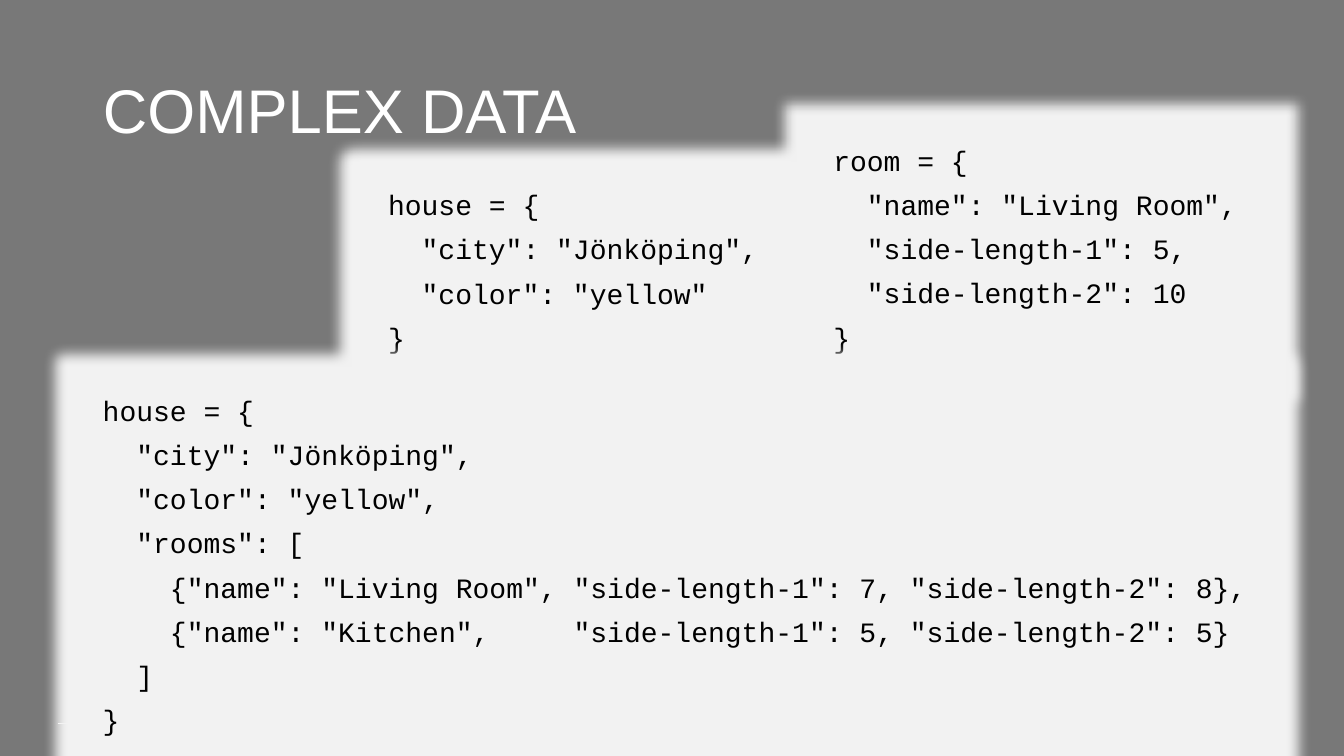
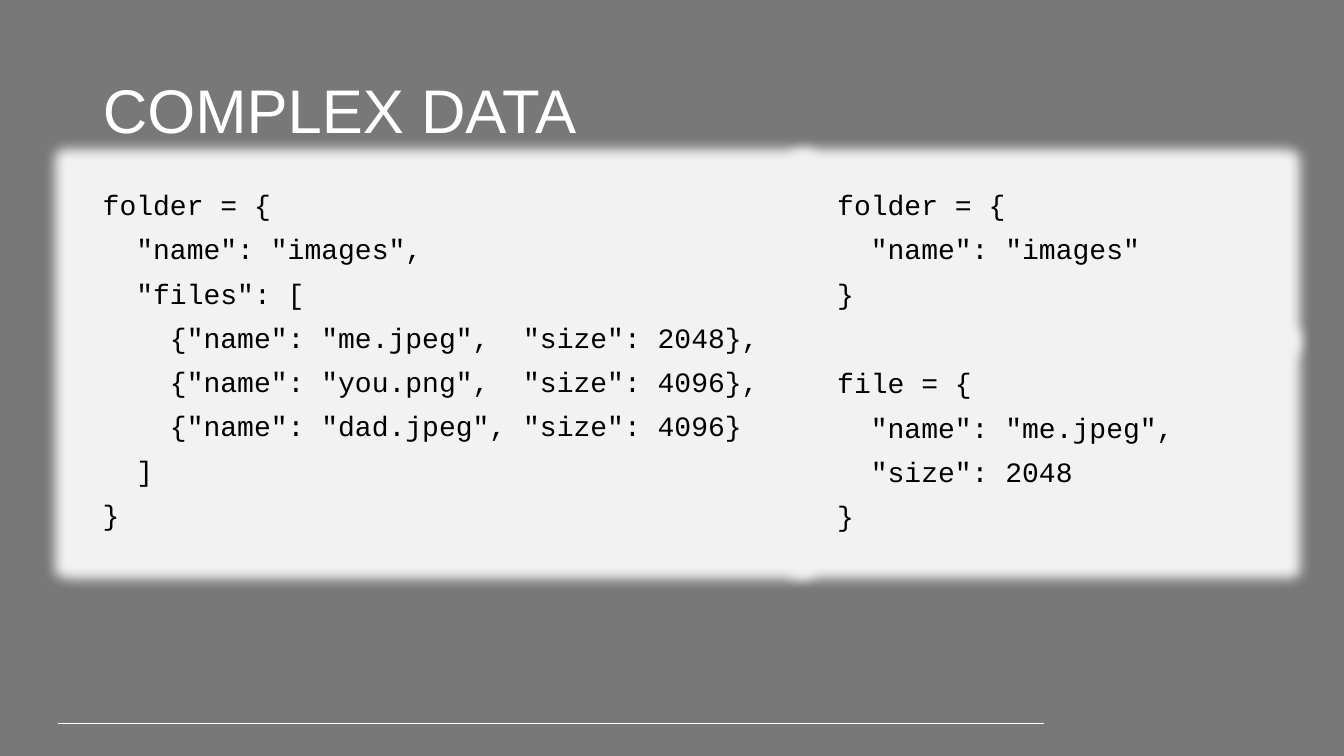
from dataclasses import dataclass

import lxml.etree
import pptx
import pptx.dml.color
import pptx.enum.shapes
import pptx.enum.text
import pptx.oxml.ns
import pptx.util

Cm, Pt = pptx.util.Cm, pptx.util.Pt
COLORS = {"back": "787878", "white": "FFFFFF", "panel": "F2F2F2", "code": "000000"}
TITLE = "COMPLEX DATA"
LEFT, TOP = 2.34, 4.7
GLOW = Pt(18)


@dataclass
class Panel:
    """A block of code; left, top and width in centimetres."""
    left: float
    top: float
    width: float
    code: str

    @property
    def height(self) -> float:
        return 1.12 * len(self.code.splitlines()) - 0.05


ROOM = '''room = {
  "name": "Living Room",
  "side-length-1": 5,
  "side-length-2": 10
}'''
HOUSE = '''house = {
  "city": "Jönköping",
  "color": "yellow"
}'''
ROOMS = '''house = {
  "city": "Jönköping",
  "color": "yellow",
  "rooms": [
    {"name": "Living Room", "side-length-1": 7, "side-length-2": 8},
    {"name": "Kitchen",     "side-length-1": 5, "side-length-2": 5}
  ]
}'''
FILE = '''file = {
  "name": "me.jpeg",
  "size": 2048
}'''
FOLDER = '''folder = {
  "name": "images"
}'''
FILES = '''folder = {
  "name": "images",
  "files": [
    {"name": "me.jpeg",  "size": 2048},
    {"name": "you.png",  "size": 4096},
    {"name": "dad.jpeg", "size": 4096}
  ]
}'''

SLIDES = [
    [Panel(20.75, 3.58, 10.97, ROOM),
     Panel(9.53, TOP, 9.93, HOUSE),
     Panel(LEFT, 9.88, 29.41, ROOMS)],
    [Panel(20.85, 9.19, 10.97, FILE),
     Panel(20.85, TOP, 10.97, FOLDER),
     Panel(LEFT, TOP, 17.25, FILES)],
]


def color(name: str) -> pptx.dml.color.RGBColor:
    return pptx.dml.color.RGBColor.from_string(COLORS[name])


def add_node(parent, tag: str, **attrs: str):
    return lxml.etree.SubElement(parent, pptx.oxml.ns.qn(tag), attrs)


def style(para, font: str, size: int, tint: str) -> None:
    para.alignment = pptx.enum.text.PP_ALIGN.LEFT
    para.line_spacing = 0.9
    para.font.name = font
    para.font.size = Pt(size)
    para.font.color.rgb = color(tint)


def set_master(deck, layout) -> None:
    """Give every slide the grey ground and the title its place."""
    fill = deck.slide_master.background.fill
    fill.solid()
    fill.fore_color.rgb = color("back")
    title = layout.placeholders[0]
    title.left, title.top = Cm(LEFT), Cm(1.02)
    title.width, title.height = Cm(29.21), Cm(3.68)
    title.text_frame.vertical_anchor = pptx.enum.text.MSO_ANCHOR.MIDDLE


def add_rule(slide, layout) -> None:
    """Draw the foot line and move it to the layout, for all slides."""
    line = slide.shapes.add_connector(
        pptx.enum.shapes.MSO_CONNECTOR.STRAIGHT,
        Cm(1.45), Cm(18.24), Cm(26.31), Cm(18.24))
    line.line.color.rgb = color("white")
    line.line.width = Pt(0.75)
    add_node(line.element.spPr, "a:effectLst")
    layout.shapes.element.append(line.element)


def add_title(slide) -> None:
    frame = slide.shapes.title.text_frame
    frame.text = TITLE
    style(frame.paragraphs[0], "Arial", 44, "white")


def add_panel(slide, panel: Panel) -> None:
    box = slide.shapes.add_shape(
        pptx.enum.shapes.MSO_SHAPE.RECTANGLE,
        Cm(panel.left), Cm(panel.top), Cm(panel.width), Cm(panel.height))
    box.fill.solid()
    box.fill.fore_color.rgb = color("panel")
    box.line.fill.background()
    box.shadow.inherit = False
    effects = box.element.spPr.find(pptx.oxml.ns.qn("a:effectLst"))
    glow = add_node(effects, "a:glow", rad=str(GLOW))
    add_node(glow, "a:srgbClr", val=COLORS["panel"])

    frame = box.text_frame
    frame.word_wrap = True
    frame.auto_size = pptx.enum.text.MSO_AUTO_SIZE.SHAPE_TO_FIT_TEXT
    frame.vertical_anchor = pptx.enum.text.MSO_ANCHOR.TOP
    frame.text = panel.code
    for index, para in enumerate(frame.paragraphs):
        para.space_before = Pt(10 if index else 0)
        style(para, "Courier New", 20, "code")


def main() -> None:
    deck = pptx.Presentation()
    deck.slide_width, deck.slide_height = Cm(33.87), Cm(19.05)
    layout = deck.slide_layouts[5]
    set_master(deck, layout)
    for number, panels in enumerate(SLIDES):
        slide = deck.slides.add_slide(layout)
        if number == 0:
            add_rule(slide, layout)
        add_title(slide)
        for panel in panels:
            add_panel(slide, panel)
    deck.save("out.pptx")


if __name__ == "__main__":
    main()
